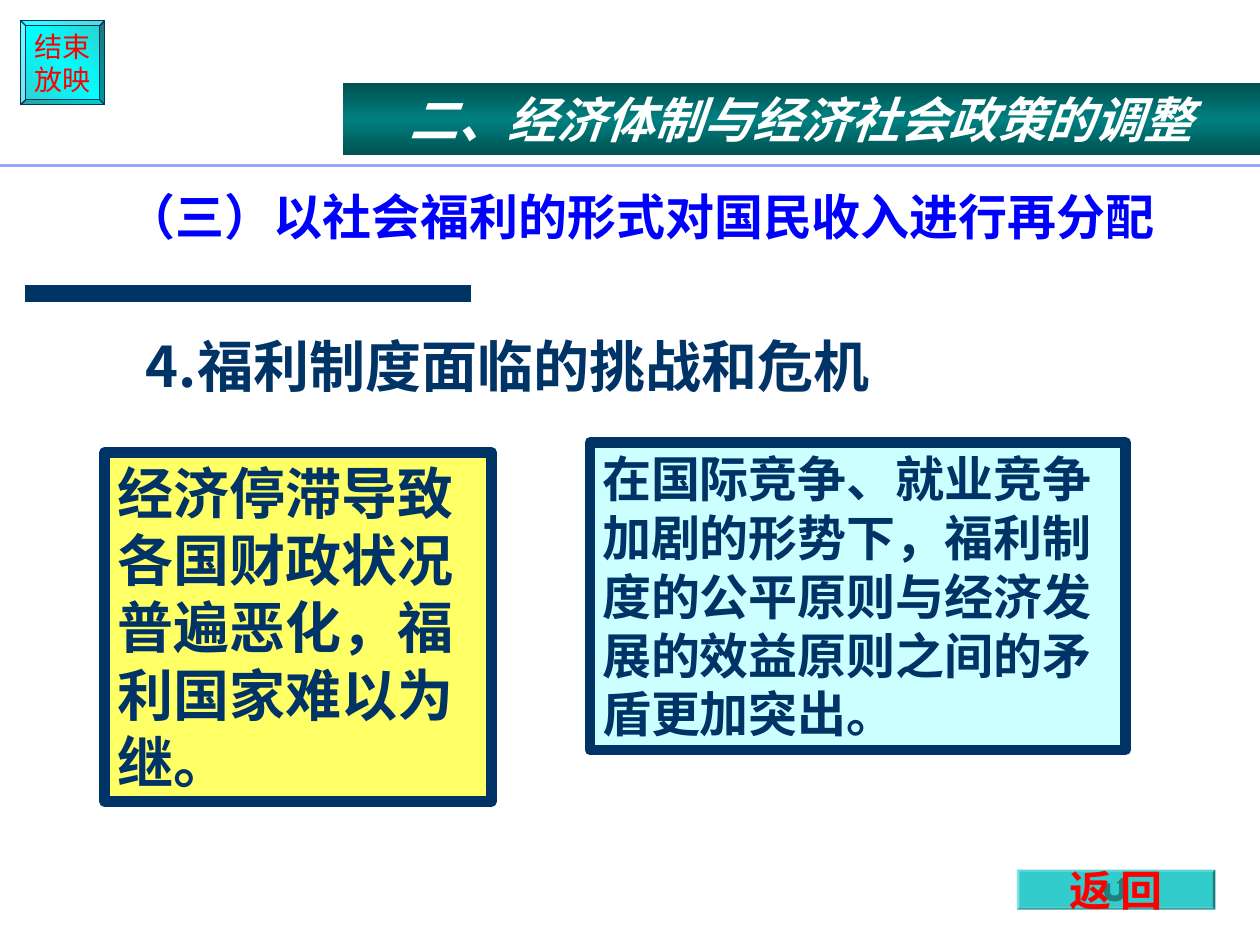
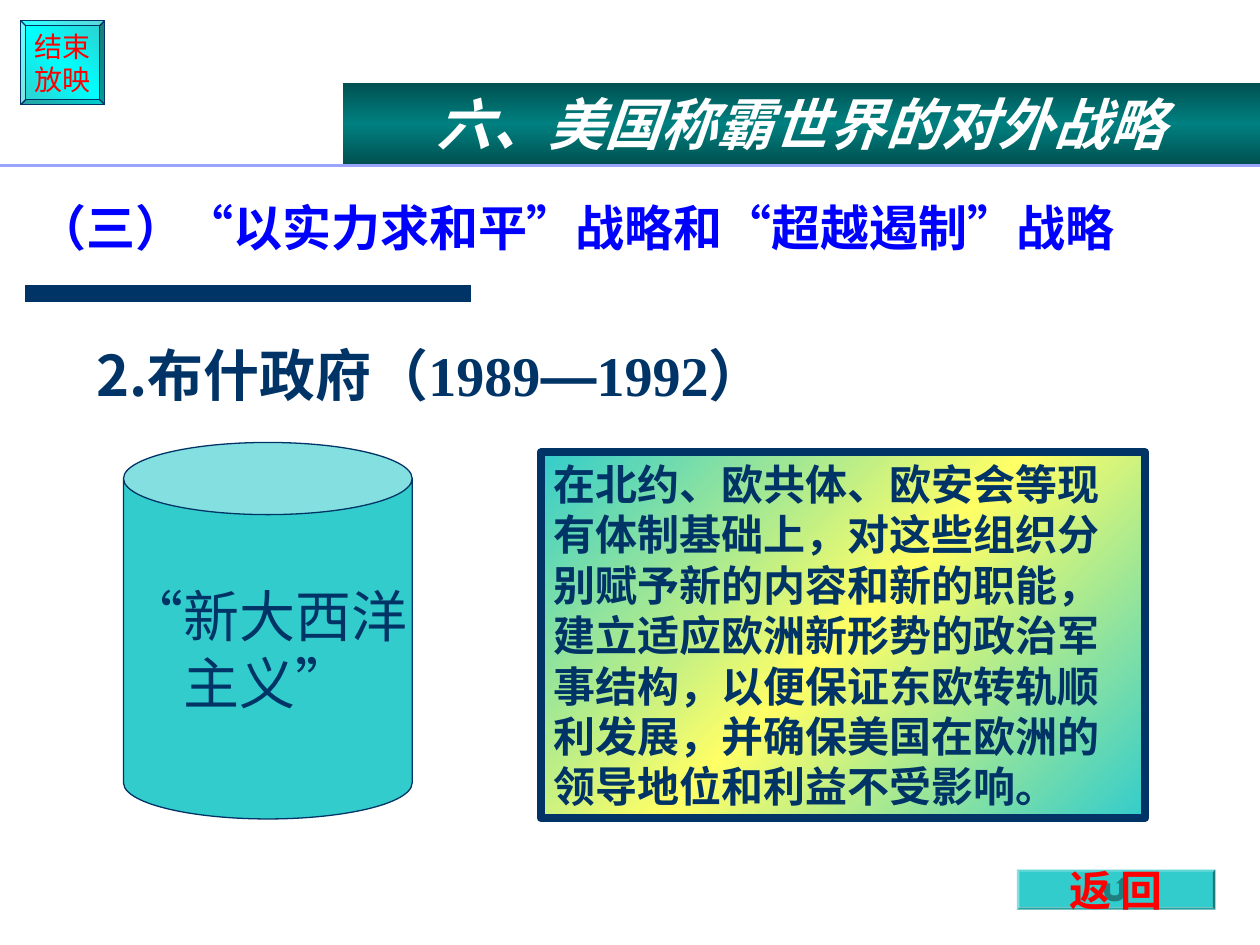
"""Build two lecture slides on welfare policy and foreign strategy."""
from copy import deepcopy
from math import cos, radians, sin

from pptx import Presentation
from pptx.dml.color import RGBColor
from pptx.enum.shapes import MSO_CONNECTOR, MSO_SHAPE
from pptx.enum.text import MSO_ANCHOR, PP_ALIGN
from pptx.oxml.ns import qn
from pptx.util import Cm, Pt

STRAIGHT = MSO_CONNECTOR.STRAIGHT
RECT, BEVEL, CAN = MSO_SHAPE.RECTANGLE, MSO_SHAPE.BEVEL, MSO_SHAPE.CAN
TOP, MIDDLE, BOTTOM = MSO_ANCHOR.TOP, MSO_ANCHOR.MIDDLE, MSO_ANCHOR.BOTTOM
LEFT, CENTER = PP_ALIGN.LEFT, PP_ALIGN.CENTER

HUES = {
    "navy": "003366", "blue": "0000FF", "red": "FF0000", "white": "FFFFFF",
    "teal": "33CCCC", "cyan": "00FFFF", "dark": "1F7F7F", "yellow": "FFFF66",
    "pale": "CCFFFF", "deep": "005151", "sea": "008080", "lilac": "9BA4FD",
}
NOTO, ARIAL, TIMES = "Noto Sans CJK SC", "Arial", "Times New Roman"

BANNER = {"size": Pt(28), "bold": True, "italic": True, "hue": "white"}
HEAD = {"size": Pt(28), "bold": True, "hue": "blue"}
TOPIC = {"size": Pt(32), "bold": True, "hue": "navy"}
NOTE = {"size": Pt(28), "bold": True, "hue": "navy"}
DRUM = {"size": Pt(32), "hue": "navy"}
STOP = {"size": Pt(16), "hue": "red"}
BACK = {"size": Pt(24), "bold": True, "hue": "red"}


def tint(name):
    """Return the named colour."""
    return RGBColor.from_string(HUES[name])


def paint(shape, fill, angle=0):
    """Fill with one hue, or with a pair as an edge-centre-edge gradient."""
    if isinstance(fill, str):
        shape.fill.solid()
        shape.fill.fore_color.rgb = tint(fill)
        return
    shape.fill.gradient()
    shape.fill.gradient_angle = 360 - angle
    stops = shape._element.spPr.find(".//" + qn("a:gsLst"))
    stops.insert(1, deepcopy(stops[0]))
    edge, core = fill
    tones = (edge, core, edge)
    for place, (stop, tone) in enumerate(zip(shape.fill.gradient_stops, tones)):
        stop.color.rgb = tint(tone)
        stop.position = place / 2


def edge(shape, line):
    """Outline a shape with a (hue, points) pair, or not at all."""
    if line is None:
        shape.line.fill.background()
        return
    hue, width = line
    shape.line.color.rgb = tint(hue)
    shape.line.width = Pt(width)


def write(shape, rows, style, face=NOTO, align=LEFT, anchor=TOP, wrap=True, lead=None):
    """Write paragraphs, each a string or a list of (text, face) runs."""
    frame = shape.text_frame
    frame.word_wrap = wrap
    frame.vertical_anchor = anchor
    for place, row in enumerate(rows):
        para = frame.add_paragraph() if place else frame.paragraphs[0]
        para.alignment = align
        para.line_spacing = lead
        for text, name in [(row, face)] if isinstance(row, str) else row:
            run = para.add_run()
            run.text = text
            run.font.name = name
            for key, value in style.items():
                if key == "hue":
                    run.font.color.rgb = tint(value)
                else:
                    setattr(run.font, key, value)
            east = run._r.get_or_add_rPr().makeelement(qn("a:ea"), {"typeface": NOTO})
            run.font._element.find(qn("a:latin")).addnext(east)


def block(slide, kind, area, fill, line=None, angle=0, bend=None):
    """Add a preset shape."""
    shape = slide.shapes.add_shape(kind, *map(Cm, area))
    shape.shadow.inherit = False
    paint(shape, fill, angle)
    edge(shape, line)
    if bend is not None:
        shape.adjustments[0] = bend
    return shape


def label(slide, area, rows, style, **format):
    """Add a text box."""
    write(slide.shapes.add_textbox(*map(Cm, area)), rows, style, **format)


def rule(slide, start, end, y, hue, width):
    """Draw a level line."""
    line = slide.shapes.add_connector(STRAIGHT, Cm(start), Cm(y), Cm(end), Cm(y))
    edge(line, (hue, width))
    props = line._element.spPr
    props.append(props.makeelement(qn("a:effectLst"), {}))


def arc(x, y, size, start, end):
    """List points along an arc, angles in degrees."""
    step = 15 if end > start else -15
    turns = map(radians, range(start, end + step, step))
    return [(x + size * cos(turn), y + size * sin(turn)) for turn in turns]


def hook(slide, x, y, unit):
    """Draw the return arrow around a centre."""
    points = [(-4, -2), (-2, -2), *arc(-1, 1, 1, 180, 90), *arc(0, 1, 1, 90, 0),
              (1, -2), (0, -2), (2, -4), (4, -2), (3, -2),
              *arc(0, 1, 3, 0, 90), *arc(-1, 1, 3, 90, 180)]
    spots = [(Cm(x + unit * across), Cm(y + unit * down)) for across, down in points]
    path = slide.shapes.build_freeform(*spots[0])
    path.add_line_segments(spots[1:], close=True)
    shape = path.convert_to_shape()
    shape.shadow.inherit = False
    paint(shape, "dark")
    edge(shape, None)


def base(deck):
    """Start a slide with the bar and the stop button."""
    slide = deck.slides.add_slide(deck.slide_layouts[6])
    rule(slide, 0.5, 9.5, 5.92, "navy", 10)
    stop = block(slide, BEVEL, (0.42, 0.42, 1.69, 1.69), ("teal", "cyan"),
                 ("navy", 0.75), 135, 0.06)
    write(stop, ["结束", "放映"], STOP, ARIAL, CENTER, MIDDLE, False)
    return slide


def close(slide, title, height, size):
    """Finish a slide with the return button, banner and rule."""
    area = (20.5, 17.53, 4, 0.81)
    block(slide, BEVEL, area, "teal", bend=0.06)
    hook(slide, 22.5, 17.93, 0.06)
    label(slide, area, ["返 回"], BACK, face=ARIAL, align=CENTER,
          anchor=MIDDLE, wrap=False)
    band = block(slide, RECT, (6.91, 1.68, 18.49, height), ("deep", "sea"), angle=90)
    write(band, [title], {**BANNER, "size": Pt(size)}, align=CENTER)
    rule(slide, 0, 25.4, 3.33, "lilac", 1.75)


def welfare(deck):
    """Build the slide on the welfare system."""
    slide = base(deck)
    label(slide, (2.31, 2.31, 21.62, 2.77), ["（三）以社会福利的形式对国民收入进行再分配"],
          HEAD, anchor=BOTTOM, lead=0.9)
    label(slide, (2.69, 6.55, 20.4, 2.57), ["4.福利制度面临的挑战和危机"], TOPIC)
    slump = block(slide, RECT, (2.11, 9.12, 7.8, 7.04), "yellow", ("navy", 6))
    write(slump, ["经济停滞导致各国财政状况普遍恶化，福利国家难以为继。"], TOPIC, ARIAL)
    clash = block(slide, RECT, (11.89, 8.92, 10.8, 6.2), "pale", ("navy", 6))
    write(clash, ["在国际竞争、就业竞争加剧的形势下，福利制度的公平原则与"
                  "经济发展的效益原则之间的矛盾更加突出。"], NOTE, ARIAL)
    clash.text_frame.margin_right = Cm(0.5)
    close(slide, "二、经济体制与经济社会政策的调整", 1.45, 28)


def abroad(deck):
    """Build the slide on foreign strategy."""
    slide = base(deck)
    label(slide, (0.51, 2.54, 22.83, 2.77), ["（三）“以实力求和平”战略和“超越遏制”战略"],
          HEAD, anchor=BOTTOM, lead=0.9)
    years = [("2.", NOTO), ("布什政府（", ARIAL), ("1989", TIMES), ("—", ARIAL),
             ("1992", TIMES), ("）", ARIAL)]
    label(slide, (1.7, 6.73, 22.2, 2.21), [years], TOPIC)
    drum = block(slide, CAN, (2.49, 8.92, 5.82, 7.59), "teal", ("navy", 0.75), bend=0.25)
    write(drum, ["“新大西洋", "主义”"], DRUM, align=CENTER, anchor=MIDDLE, wrap=False)
    plan = block(slide, RECT, (10.9, 9.12, 12.19, 7.37), ("teal", "yellow"),
                 ("navy", 4.5), 225)
    write(plan, ["在北约、欧共体、欧安会等现有体制基础上，对这些组织分别赋予新的内容"
                 "和新的职能，建立适应欧洲新形势的政治军事结构，以便保证东欧转轨顺利"
                 "发展，并确保美国在欧洲的领导地位和利益不受影响。"],
          {**NOTE, "size": Pt(24)})
    close(slide, "六、美国称霸世界的对外战略", 1.63, 32)


def main():
    """Build and save the deck."""
    deck = Presentation()
    deck.slide_width, deck.slide_height = Cm(25.4), Cm(19.05)
    welfare(deck)
    abroad(deck)
    deck.save("out.pptx")


if __name__ == "__main__":
    main()
